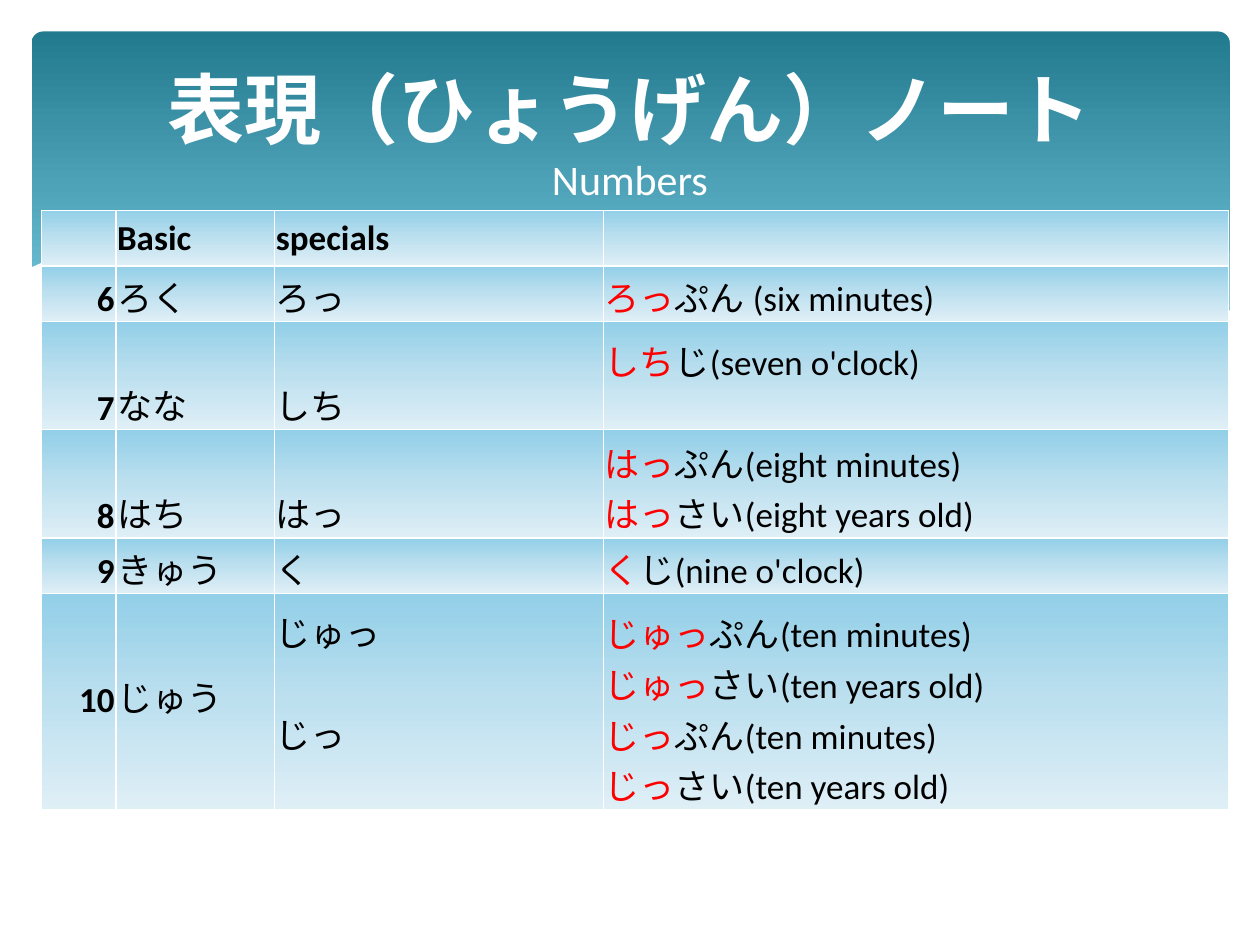
from dataclasses import dataclass

from lxml.etree import SubElement
from pptx import Presentation
from pptx.dml.color import RGBColor
from pptx.enum.shapes import MSO_SHAPE
from pptx.enum.text import MSO_ANCHOR, PP_ALIGN
from pptx.oxml.ns import qn
from pptx.util import Inches, Pt


@dataclass(frozen=True)
class Theme:
    font: str = "Calibri"
    white: str = "FFFFFF"
    text: str = "000000"
    accent: str = "FF0000"
    foam: str = "DEF5FA"
    banner: tuple = ((0, "227A8F"), (90, "7ACBE0"))
    cell: tuple = ((0, "92CFE8"), (50, "BDE0EF"), (100, "DFEFF6"))
    title_size: int = 44
    subtitle_size: int = 24
    body_size: int = 20
    line_gap: int = 29


THEME = Theme()

TITLE = "表現（ひょうげん）ノート"
SUBTITLE = "Numbers"
HEADINGS = ["", "Basic", "specials", ""]
NUMBERS = [
    ("6", "ろく", ["ろっ"], [("ろっ", "ぷん (six minutes)")]),
    ("7", "なな", ["しち"], [("しち", "じ(seven o'clock)")]),
    ("8", "はち", ["はっ"], [("はっ", "ぷん(eight minutes)"), ("はっ", "さい(eight years old)")]),
    ("9", "きゅう", ["く"], [("く", "じ(nine o'clock)")]),
    ("10", "じゅう", ["じゅっ", "じっ"], [
        ("じゅっ", "ぷん(ten minutes)"), ("じゅっ", "さい(ten years old)"),
        ("じっ", "ぷん(ten minutes)"), ("じっ", "さい(ten years old)"),
    ]),
]
COLUMN_WIDTHS = [0.59, 1.26, 2.61, 4.96]
ROW_HEIGHTS = [0.44, 0.44, 0.86, 0.86, 0.44, 1.72]
BOTTOM_MARGINS = {(2, 3): 0.35, (5, 0): 0.7, (5, 1): 0.7, (5, 2): 0.41}

FILLED_WAVES = [
    (THEME.foam, 29, [
        (975, 200), (935, 207), (891, 216), (832, 230), (779, 242), (729, 253), (661, 265),
        (705, 271), (757, 276), (803, 278), (854, 276), (897, 270), (935, 262), (976, 247),
        (976, 200)]),
    (THEME.foam, 40, [
        (893, 273), (837, 265), (775, 254), (706, 240), (629, 222), (569, 208), (514, 198),
        (465, 191), (399, 186), (344, 186), (286, 191), (342, 199), (404, 211), (449, 222),
        (530, 240), (601, 255), (665, 266), (722, 274), (773, 277), (828, 278), (893, 273)]),
    (THEME.white, 100, [
        (977, 246), (940, 259), (899, 269), (850, 275), (809, 277), (761, 275), (708, 270),
        (648, 262), (579, 250), (503, 233), (447, 220), (391, 207), (340, 197), (292, 190),
        (250, 186), (193, 184), (146, 185), (106, 189), (76, 195), (46, 203), (23, 213),
        (23, 329), (977, 329)]),
]
LINE_WAVES = [
    [(309, 195), (344, 190), (387, 187), (433, 187), (489, 190), (556, 197), (608, 204),
     (665, 213), (727, 226), (795, 241), (869, 261), (907, 272)],
    [(613, 257), (653, 246), (695, 235), (748, 223), (806, 210), (866, 199), (910, 192),
     (951, 187), (975, 185)],
]


def color(value):
    return RGBColor.from_string(value)


def paint_gradient(owner, element, stops):
    owner.fill.gradient()
    owner.fill.gradient_angle = 270
    stop_list = next(element.iter(qn("a:gsLst")))
    for old in list(stop_list):
        stop_list.remove(old)
    for position, value in stops:
        stop = SubElement(stop_list, qn("a:gs"), pos=str(position * 1000))
        SubElement(stop, qn("a:srgbClr"), val=value)


def style(paragraph, size, value=None, bold=False, align=PP_ALIGN.LEFT):
    paragraph.alignment = align
    font = paragraph.font
    font.name, font.size, font.bold = THEME.font, Pt(size), bold
    if value:
        font.color.rgb = color(value)


def paragraph_at(frame, index):
    return frame.add_paragraph() if index else frame.paragraphs[0]


def draw_wave(page, points, close):
    builder = page.shapes.build_freeform(*points[0], scale=Inches(0.01))
    builder.add_line_segments(points[1:], close=close)
    wave = builder.convert_to_shape()
    wave.shadow.inherit = False
    return wave


def draw_background(page):
    banner = page.shapes.add_shape(
        MSO_SHAPE.ROUNDED_RECTANGLE, Inches(0.25), Inches(0.25), Inches(9.51), Inches(2.7))
    banner.adjustments[0] = 0.034
    banner.shadow.inherit = False
    banner.line.fill.background()
    paint_gradient(banner, banner.element, THEME.banner)
    *foam, ground = FILLED_WAVES
    for value, opacity, points in foam:
        fill_wave(page, value, opacity, points)
    for points in LINE_WAVES:
        wave = draw_wave(page, points, False)
        wave.fill.background()
        wave.line.color.rgb = color(THEME.white)
        wave.line.width = Pt(0)
    fill_wave(page, *ground)


def fill_wave(page, value, opacity, points):
    wave = draw_wave(page, points, True)
    wave.fill.solid()
    wave.fill.fore_color.rgb = color(value)
    wave.line.fill.background()
    if opacity < 100:
        tint = next(wave.element.spPr.iter(qn("a:srgbClr")))
        SubElement(tint, qn("a:alpha"), val=str(opacity * 1000))


def draw_title(page):
    box = page.shapes.add_textbox(Inches(0.5), Inches(0.37), Inches(9), Inches(1.37))
    frame = box.text_frame
    frame.word_wrap = True
    frame.vertical_anchor = MSO_ANCHOR.MIDDLE
    lines = [(TITLE, THEME.title_size, True), (SUBTITLE, THEME.subtitle_size, False)]
    for index, (text, size, bold) in enumerate(lines):
        paragraph = paragraph_at(frame, index)
        paragraph.text = text
        style(paragraph, size, THEME.white, bold, PP_ALIGN.CENTER)


def format_cell(cell, row, column):
    cell.margin_left = cell.margin_right = cell.margin_top = Inches(0.01)
    cell.margin_bottom = Inches(BOTTOM_MARGINS.get((row, column), 0))
    cell.vertical_anchor = MSO_ANCHOR.BOTTOM if row else MSO_ANCHOR.MIDDLE
    properties = cell._tc.get_or_add_tcPr()
    for side in ("lnL", "lnR", "lnT", "lnB"):
        border = SubElement(properties, qn(f"a:{side}"), w=str(Pt(1)))
        fill = SubElement(border, qn("a:solidFill"))
        SubElement(fill, qn("a:srgbClr"), val=THEME.white)
    paint_gradient(cell, properties, THEME.cell)


def write_lines(cell, lines, bold=False, align=PP_ALIGN.LEFT, gap=0):
    for index, text in enumerate(lines):
        paragraph = paragraph_at(cell.text_frame, index)
        paragraph.text = text
        style(paragraph, THEME.body_size, THEME.text, bold, align)
        if index:
            paragraph.space_before = Pt(gap)


def write_examples(cell, examples):
    for index, parts in enumerate(examples):
        paragraph = paragraph_at(cell.text_frame, index)
        style(paragraph, THEME.body_size)
        for text, value in zip(parts, (THEME.accent, THEME.text)):
            span = paragraph.add_run()
            span.text = text
            span.font.color.rgb = color(value)


def draw_table(page):
    frame = page.shapes.add_table(
        len(ROW_HEIGHTS), len(COLUMN_WIDTHS), Inches(0.33), Inches(1.67),
        Inches(sum(COLUMN_WIDTHS)), Inches(sum(ROW_HEIGHTS)))
    table = frame.table
    table.first_row = table.horz_banding = False
    for column, width in zip(table.columns, COLUMN_WIDTHS):
        column.width = Inches(width)
    for row, height in enumerate(ROW_HEIGHTS):
        table.rows[row].height = Inches(height)
        for column in range(len(COLUMN_WIDTHS)):
            format_cell(table.cell(row, column), row, column)
    for column, heading in enumerate(HEADINGS):
        write_lines(table.cell(0, column), [heading], bold=True)
    for row, (number, basic, specials, examples) in enumerate(NUMBERS, 1):
        write_lines(table.cell(row, 0), [number], bold=True, align=PP_ALIGN.RIGHT)
        write_lines(table.cell(row, 1), [basic])
        write_lines(table.cell(row, 2), specials, gap=THEME.line_gap)
        write_examples(table.cell(row, 3), examples)


def main():
    deck = Presentation()
    deck.slide_width, deck.slide_height = Inches(10), Inches(7.5)
    page = deck.slides.add_slide(deck.slide_layouts[6])
    draw_background(page)
    draw_title(page)
    draw_table(page)
    deck.save("out.pptx")


if __name__ == "__main__":
    main()
